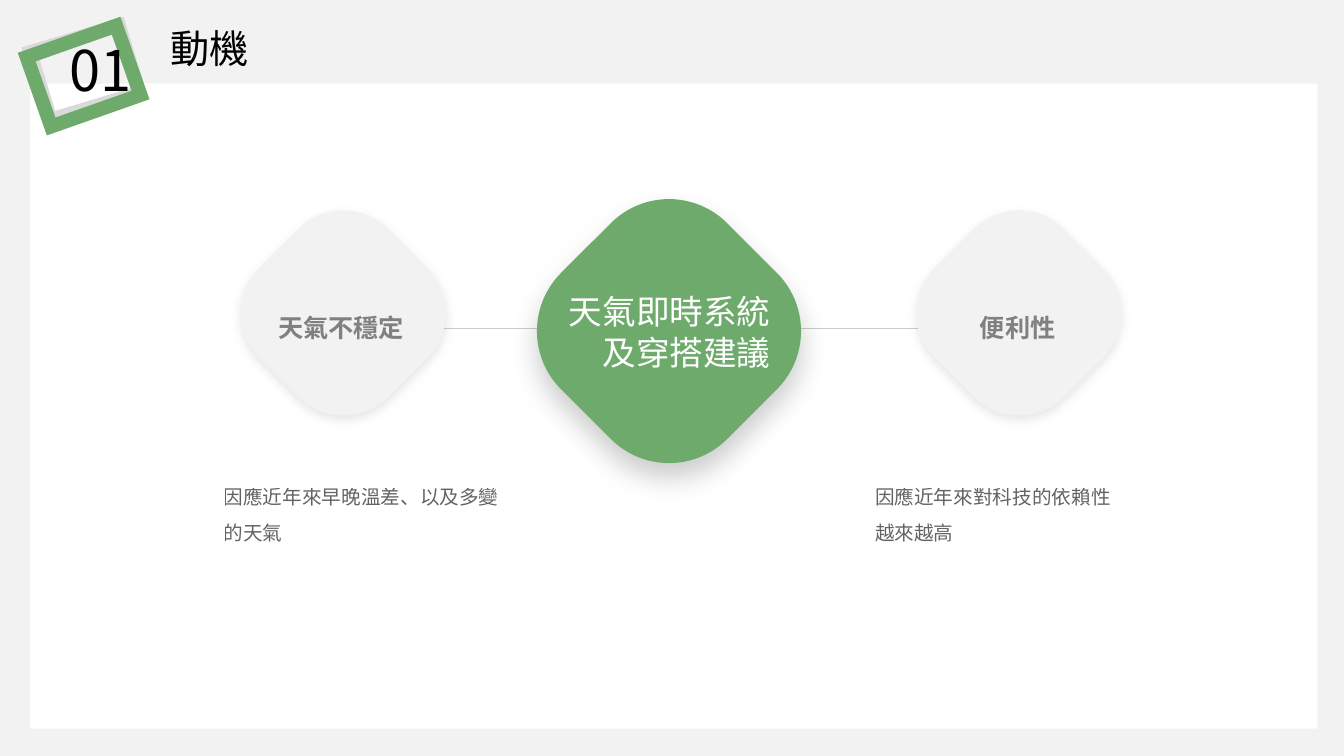
import pptx
import pptx.util
import pptx.dml.color
import pptx.enum.shapes
import pptx.enum.text
import pptx.oxml
import pptx.oxml.ns
from pptx.util import Inches

RGBColor = pptx.dml.color.RGBColor
GREEN = RGBColor(0x6E, 0xAA, 0x6B)
WHITE = RGBColor(0xFF, 0xFF, 0xFF)
BLACK = RGBColor(0x00, 0x00, 0x00)
PALE = RGBColor(0xF2, 0xF2, 0xF2)
SILVER = RGBColor(0xD9, 0xD9, 0xD9)
GRAY = RGBColor(0x80, 0x80, 0x80)
INK = RGBColor(0x22, 0x22, 0x22)
JP, SC, ROBOTO = "Noto Sans CJK JP", "Noto Sans CJK SC", "Roboto"
LEFT, RIGHT = pptx.enum.text.PP_ALIGN.LEFT, pptx.enum.text.PP_ALIGN.RIGHT
PRESETS = pptx.enum.shapes.MSO_SHAPE
qn = pptx.oxml.ns.qn
NAMESPACE = pptx.oxml.ns.nsdecls("a")


def add_xml(parent, xml):
    """Append one DrawingML element, given without its namespace."""
    tag, rest = xml[:xml.index(" ")], xml[xml.index(" "):]
    parent.append(pptx.oxml.parse_xml(f"{tag} {NAMESPACE}{rest}"))


def add_box(preset, left, top, width, height, rotation=0):
    shape = slide.shapes.add_shape(
        preset, Inches(left), Inches(top), Inches(width), Inches(height))
    shape.rotation = rotation
    shape.shadow.inherit = False
    return shape


presentation = pptx.Presentation()
presentation.slide_width = Inches(13.33)
presentation.slide_height = Inches(7.5)
slide = presentation.slides.add_slide(presentation.slide_layouts[6])
slide.background.fill.solid()
slide.background.fill.fore_color.rgb = PALE

panel = add_box(PRESETS.RECTANGLE, 0.3, 0.83, 12.77, 6.4)
panel.fill.solid()
panel.fill.fore_color.rgb = WHITE
panel.line.fill.background()

# Tilted frames behind the section number
for left, top, width, height, rotation, color in [
    (0.38, 0.37, 0.92, 0.7, 343.2, SILVER),
    (0.36, 0.39, 0.94, 0.73, 340.6, GREEN),
]:
    frame = add_box(PRESETS.RECTANGLE, left, top, width, height, rotation)
    frame.fill.background()
    frame.line.color.rgb = color
    frame.line.width = pptx.util.Pt(10)
    add_xml(frame.line._get_or_add_ln(), '<a:miter lim="800000"/>')

link = slide.shapes.add_connector(
    pptx.enum.shapes.MSO_CONNECTOR.STRAIGHT,
    Inches(3.9), Inches(3.26), Inches(9.41), Inches(3.26))
link.line.color.rgb = BLACK
link.line.width = pptx.util.Pt(0.5)
add_xml(next(link._element.spPr.iter(qn("a:srgbClr"))), '<a:alpha val="20000"/>')
add_xml(link._element.spPr, "<a:effectLst />")

# Diamonds: left, top, side, fill, shadow opacity (%), blur and distance (pt)
for left, top, side, color, opacity, blur, distance in [
    (9.2, 2.2, 1.81, PALE, 10, 8, 3),
    (5.47, 2.12, 2.33, GREEN, 20, 20, 10),
    (2.5, 2.2, 1.81, PALE, 10, 8, 3),
]:
    diamond = add_box(PRESETS.ROUNDED_RECTANGLE, left, top, side, side, 45)
    diamond.adjustments[0] = 0.35
    diamond.fill.solid()
    diamond.fill.fore_color.rgb = color
    diamond.line.fill.background()
    add_xml(
        diamond._element.spPr.find(qn("a:effectLst")),
        f'<a:outerShdw blurRad="{pptx.util.Pt(blur)}" dist="{pptx.util.Pt(distance)}"'
        ' dir="5400000" algn="t" rotWithShape="0"><a:srgbClr val="000000">'
        f'<a:alpha val="{opacity * 1000}"/></a:srgbClr></a:outerShdw>')

# Texts: position and size, lines, font, size, colour, bold, alignment, body text
for left, top, width, height, lines, font, size, color, bold, alignment, body in [
    (2.12, 4.65, 2.96, 0.86, ["因應近年來早晚溫差、以及多變的天氣"], JP, 14, INK, False, LEFT, True),
    (2.66, 3.05, 1.46, 0.4, ["天氣不穩定"], JP, 18, GRAY, True, LEFT, False),
    (5.52, 2.84, 2.22, 0.91, ["天氣即時系統", "及穿搭建議"], JP, 24, WHITE, False, RIGHT, False),
    (8.58, 4.65, 2.62, 0.86, ["因應近年來對科技的依賴性越來越高"], ROBOTO, 14, INK, False, LEFT, True),
    (1.59, 0.19, 0.99, 0.57, ["動機"], SC, 28, BLACK, False, LEFT, False),
    (0.59, 0.3, 0.86, 0.77, ["01"], SC, 40, BLACK, False, LEFT, False),
    (9.62, 3.05, 0.96, 0.4, ["便利性"], JP, 18, GRAY, True, LEFT, False),
]:
    text_box = slide.shapes.add_textbox(
        Inches(left), Inches(top), Inches(width), Inches(height))
    text_frame = text_box.text_frame
    text_frame.text = "\n".join(lines)
    text_frame.word_wrap = body
    if not body:
        text_frame.auto_size = pptx.enum.text.MSO_AUTO_SIZE.SHAPE_TO_FIT_TEXT
    for paragraph in text_frame.paragraphs:
        paragraph.alignment = alignment
        if body:
            paragraph.line_spacing = 1.5
        paragraph.font.name = font
        paragraph.font.size = pptx.util.Pt(size)
        paragraph.font.bold = bold
        paragraph.font.color.rgb = color
        properties = paragraph._p.pPr.find(qn("a:defRPr"))
        add_xml(properties, f'<a:ea typeface="{font}"/>')
        if body:
            add_xml(next(properties.iter(qn("a:srgbClr"))), '<a:alpha val="70000"/>')

presentation.save("out.pptx")
